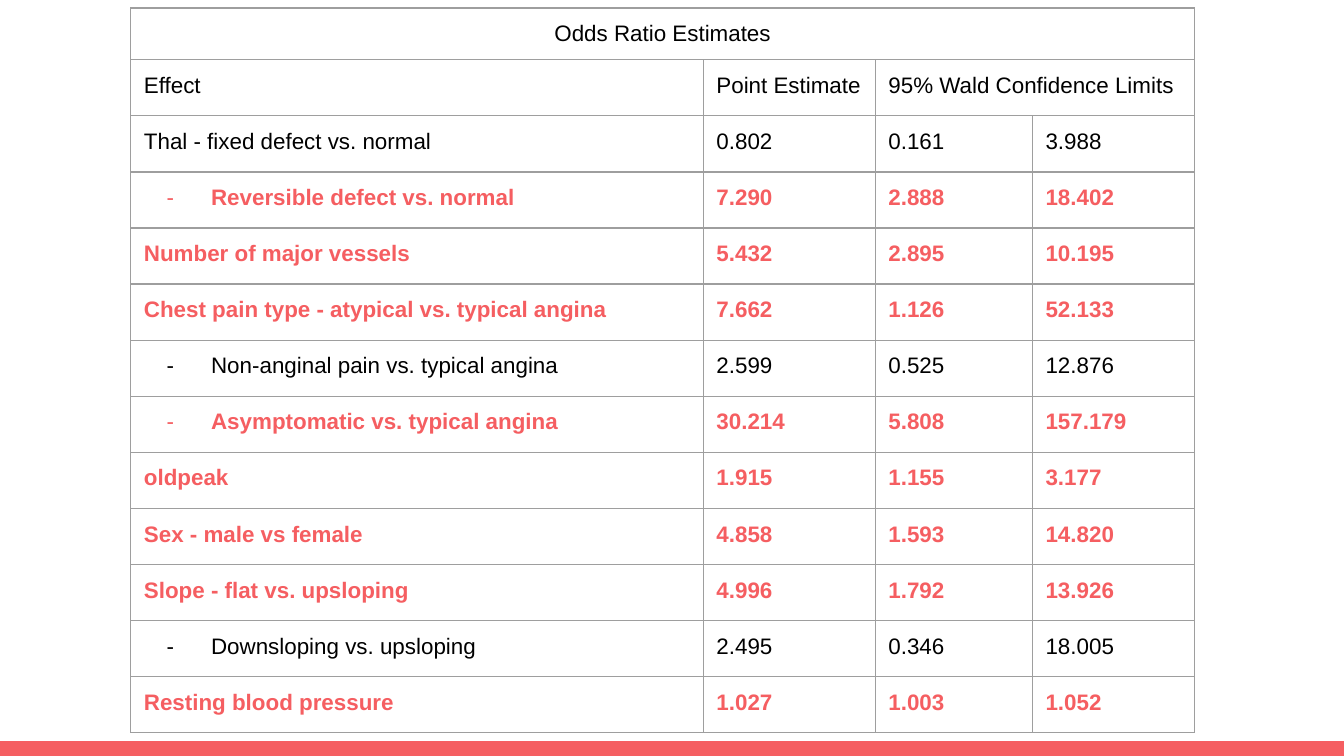
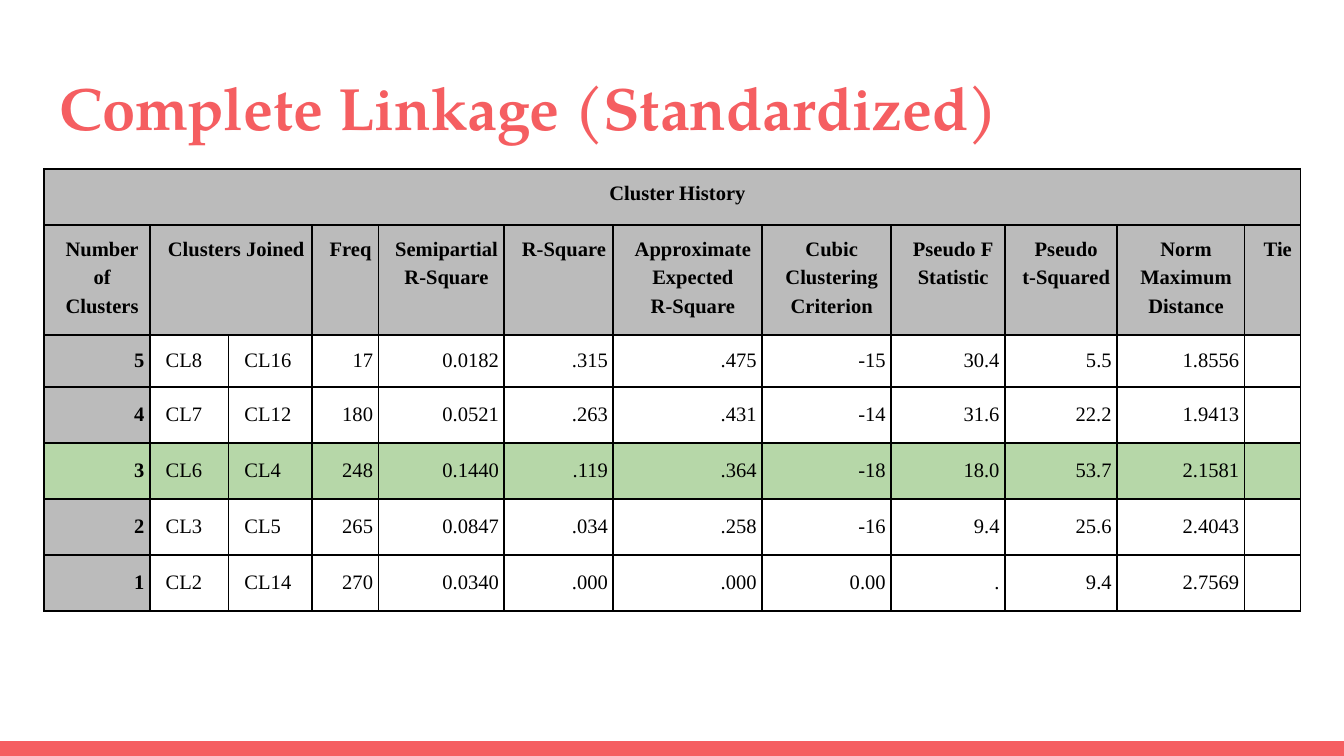
"""Build two statistics slides: odds ratio estimates and a cluster history."""
from dataclasses import dataclass
from typing import NamedTuple, Optional

from lxml.etree import SubElement
from pptx import Presentation
from pptx.dml.color import RGBColor
from pptx.enum.shapes import MSO_SHAPE
from pptx.enum.text import MSO_ANCHOR as Anchor, MSO_AUTO_SIZE as AutoSize, PP_ALIGN as Align
from pptx.oxml import parse_xml
from pptx.oxml.ns import nsdecls, qn
from pptx.util import Cm, Pt


@dataclass(frozen=True)
class Theme:
    accent: str = "F55E61"
    ink: str = "000000"
    paper: str = "FFFFFF"
    header: str = "BBBBBB"
    chosen: str = "B6D7A8"
    rule: str = "9E9E9E"
    title_font: str = "TeX Gyre Pagella"
    odds_font: str = "Arial"
    cluster_font: str = "Times New Roman"
    title_size: float = 32
    odds_size: float = 12
    cluster_size: float = 11


THEME = Theme()


@dataclass(frozen=True)
class GridStyle:
    font: str
    size: float
    border: str
    border_width: float
    side_inset: float
    indent: float = 0


@dataclass(frozen=True)
class CellLook:
    color: str = THEME.ink
    bold: bool = False
    align: Align = Align.LEFT
    anchor: Anchor = Anchor.TOP
    fill: Optional[str] = None
    dashed: bool = False


class Effect(NamedTuple):
    label: str
    estimate: str
    lower: str
    upper: str
    significant: bool = True
    nested: bool = False


class Merge(NamedTuple):
    row: int
    first: int
    last: int


ODDS_STYLE = GridStyle(THEME.odds_font, THEME.odds_size, THEME.rule, 0.75, 0.25)
CLUSTER_STYLE = GridStyle(THEME.cluster_font, THEME.cluster_size, THEME.ink, 1, 0.1, 0.2)

ODDS_HEADINGS = ("Effect", "Point Estimate", "95% Wald Confidence Limits")
EFFECTS = (
    Effect("Thal - fixed defect vs. normal", "0.802", "0.161", "3.988", significant=False),
    Effect("Reversible defect vs. normal", "7.290", "2.888", "18.402", nested=True),
    Effect("Number of major vessels", "5.432", "2.895", "10.195"),
    Effect("Chest pain type - atypical vs. typical angina", "7.662", "1.126", "52.133"),
    Effect("Non-anginal pain vs. typical angina", "2.599", "0.525", "12.876", False, True),
    Effect("Asymptomatic vs. typical angina", "30.214", "5.808", "157.179", nested=True),
    Effect("oldpeak", "1.915", "1.155", "3.177"),
    Effect("Sex - male vs female", "4.858", "1.593", "14.820"),
    Effect("Slope - flat vs. upsloping", "4.996", "1.792", "13.926"),
    Effect("Downsloping vs. upsloping", "2.495", "0.346", "18.005", False, True),
    Effect("Resting blood pressure", "1.027", "1.003", "1.052"),
)

CLUSTER_HEADINGS = (
    "Number\nof\nClusters", "Clusters Joined", "", "Freq", "Semipartial\nR-Square",
    "R-Square", "Approximate\nExpected\nR-Square", "Cubic\nClustering\nCriterion",
    "Pseudo F\nStatistic", "Pseudo\nt-Squared", "Norm\nMaximum\nDistance", "Tie",
)
CLUSTER_STEPS = (
    ("5", "CL8", "CL16", "17", "0.0182", ".315", ".475", "-15", "30.4", "5.5", "1.8556", ""),
    ("4", "CL7", "CL12", "180", "0.0521", ".263", ".431", "-14", "31.6", "22.2", "1.9413", ""),
    ("3", "CL6", "CL4", "248", "0.1440", ".119", ".364", "-18", "18.0", "53.7", "2.1581", ""),
    ("2", "CL3", "CL5", "265", "0.0847", ".034", ".258", "-16", "9.4", "25.6", "2.4043", ""),
    ("1", "CL2", "CL14", "270", "0.0340", ".000", ".000", "0.00", ".", "9.4", "2.7569", ""),
)
CHOSEN_CLUSTERS = "3"
JOINED_COLUMNS = (1, 2)


def rgb(value: str) -> RGBColor:
    return RGBColor.from_string(value)


def add_run(paragraph, text: str, font: str, size: float, color: str, bold: bool) -> None:
    run = paragraph.add_run()
    run.text = text
    run.font.name = font
    run.font.size = Pt(size)
    run.font.bold = bold
    run.font.color.rgb = rgb(color)


def add_band(slide) -> None:
    band = slide.shapes.add_shape(MSO_SHAPE.RECTANGLE, 0, Cm(14.01), Cm(25.4), Cm(0.28))
    band.shadow.inherit = False
    band.fill.solid()
    band.fill.fore_color.rgb = rgb(THEME.accent)
    band.line.fill.background()


def set_borders(cell, color: str, width: float) -> None:
    properties = cell._tc.get_or_add_tcPr()
    for position, side in enumerate(("lnL", "lnR", "lnT", "lnB")):
        properties.insert(position, parse_xml(
            f'<a:{side} {nsdecls("a")} w="{Pt(width)}"><a:solidFill>'
            f'<a:srgbClr val="{color}"/></a:solidFill></a:{side}>'))


def set_indent(paragraph, style: GridStyle, look: CellLook) -> None:
    properties = paragraph._p.get_or_add_pPr()
    properties.set("marL", str(Cm(1.27 if look.dashed else style.indent)))
    properties.set("indent", str(Cm(-0.84 if look.dashed else 0)))
    if look.dashed:
        tint = SubElement(properties, qn("a:buClr"))
        SubElement(tint, qn("a:srgbClr")).set("val", look.color)
        SubElement(properties, qn("a:buFont")).set("typeface", style.font)
        SubElement(properties, qn("a:buChar")).set("char", "-")


def fill_cell(cell, text: str, style: GridStyle, look: CellLook) -> None:
    cell.margin_left = cell.margin_right = Cm(style.side_inset)
    cell.margin_top = cell.margin_bottom = Cm(0.25)
    cell.vertical_anchor = look.anchor
    if look.fill:
        cell.fill.solid()
        cell.fill.fore_color.rgb = rgb(look.fill)
    else:
        cell.fill.background()
    set_borders(cell, style.border, style.border_width)
    frame = cell.text_frame
    for index, line in enumerate(text.split("\n")):
        paragraph = frame.add_paragraph() if index else frame.paragraphs[0]
        paragraph.alignment = look.align
        if index:
            paragraph.space_before = Pt(3)
        set_indent(paragraph, style, look)
        if line:
            add_run(paragraph, line, style.font, style.size, look.color, look.bold)
        else:
            ending = SubElement(paragraph._p, qn("a:endParaRPr"))
            ending.set("sz", str(int(style.size * 100)))


def add_grid(slide, left: float, top: float, widths: tuple, heights: tuple,
             rows: list, style: GridStyle, merges: tuple) -> None:
    grid = slide.shapes.add_table(len(heights), len(widths), Cm(left), Cm(top),
                                  Cm(sum(widths)), Cm(sum(heights))).table
    grid.first_row = grid.horz_banding = False
    for column, width in zip(grid.columns, widths):
        column.width = Cm(width)
    for row, height in zip(grid.rows, heights):
        row.height = Cm(height)
    for row_index, row in enumerate(rows):
        for column_index, (text, look) in enumerate(row):
            fill_cell(grid.cell(row_index, column_index), text, style, look)
    for merge in merges:
        grid.cell(merge.row, merge.first).merge(grid.cell(merge.row, merge.last))


def effect_row(effect: Effect) -> list:
    color = THEME.accent if effect.significant else THEME.ink
    figure = CellLook(color, effect.significant)
    label = CellLook(color, effect.significant, dashed=effect.nested)
    return [(effect.label, label)] + [
        (value, figure) for value in (effect.estimate, effect.lower, effect.upper)]


def cluster_row(step: tuple) -> list:
    chosen = step[0] == CHOSEN_CLUSTERS
    body = THEME.chosen if chosen else THEME.paper
    row = []
    for column, value in enumerate(step):
        leading = column == 0
        fill = THEME.header if leading and not chosen else body
        align = Align.LEFT if column in JOINED_COLUMNS else Align.RIGHT
        row.append((value, CellLook(THEME.ink, leading, align, Anchor.MIDDLE, fill)))
    return row


def build_odds_slide(deck) -> None:
    slide = deck.slides.add_slide(deck.slide_layouts[6])
    add_band(slide)
    plain, centred = CellLook(), CellLook(align=Align.CENTER)
    rows = [
        [("Odds Ratio Estimates", centred)] + [("", centred)] * 3,
        [(heading, plain) for heading in (*ODDS_HEADINGS, "")],
        *map(effect_row, EFFECTS),
    ]
    heights = (0.98,) + (1.06,) * (len(rows) - 1)
    add_grid(slide, 2.47, 0.15, (10.82, 3.25, 2.97, 3.07), heights, rows, ODDS_STYLE,
             (Merge(0, 0, 3), Merge(1, 2, 3)))


def build_cluster_slide(deck) -> None:
    slide = deck.slides.add_slide(deck.slide_layouts[5])
    add_band(slide)
    title = slide.shapes.title
    title.left, title.top, title.width, title.height = Cm(0.87), Cm(1.09), Cm(23.67), Cm(1.73)
    frame = title.text_frame
    frame.auto_size = AutoSize.NONE
    frame.word_wrap = True
    frame.vertical_anchor = Anchor.TOP
    frame.margin_left = frame.margin_right = frame.margin_top = frame.margin_bottom = Cm(0.25)
    frame.paragraphs[0].alignment = Align.LEFT
    add_run(frame.paragraphs[0], "Complete Linkage (Standardized)", THEME.title_font,
            THEME.title_size, THEME.accent, True)

    heading_look = CellLook(bold=True, align=Align.CENTER, fill=THEME.header)
    last = len(CLUSTER_HEADINGS) - 1
    rows = [
        [("Cluster History", heading_look)] + [("", heading_look)] * last,
        [(heading, heading_look) for heading in CLUSTER_HEADINGS],
        *map(cluster_row, CLUSTER_STEPS),
    ]
    widths = (2, 1.49, 1.58, 1.25, 2.38, 2.06, 2.81, 2.44, 2.15, 2.12, 2.41, 1.06)
    heights = (1.06, 2.08, 0.94) + (1.06,) * 4
    add_grid(slide, 0.83, 3.19, widths, heights, rows, CLUSTER_STYLE,
             (Merge(0, 0, last), Merge(1, *JOINED_COLUMNS)))


def main() -> None:
    deck = Presentation()
    deck.slide_width, deck.slide_height = Cm(25.4), Cm(14.29)
    build_odds_slide(deck)
    build_cluster_slide(deck)
    deck.save("out.pptx")


if __name__ == "__main__":
    main()
